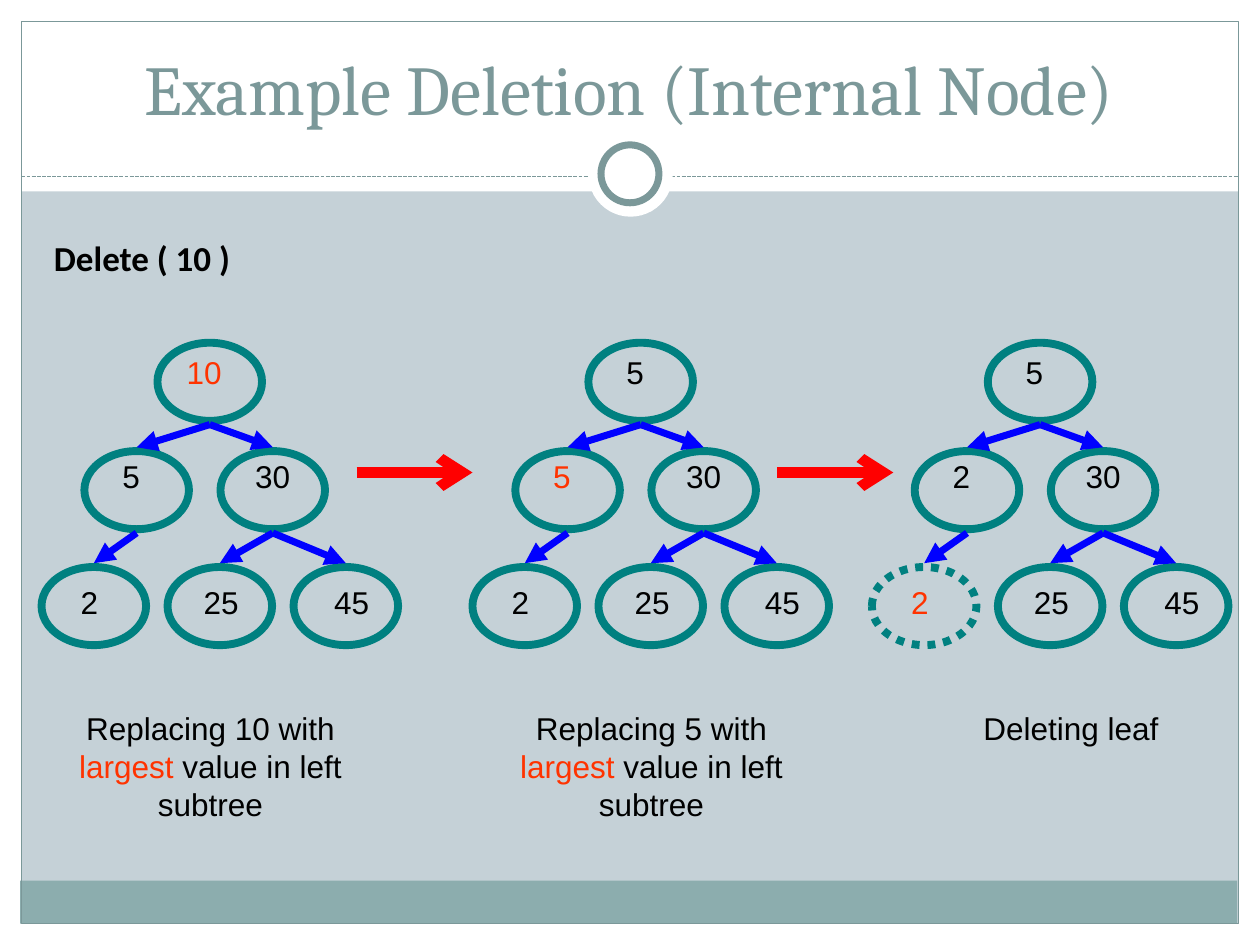
from dataclasses import dataclass

import pptx
import pptx.util
from pptx.dml.color import RGBColor
from pptx.enum.dml import MSO_LINE
from pptx.enum.shapes import MSO_CONNECTOR, MSO_SHAPE
from pptx.enum.text import MSO_ANCHOR, MSO_AUTO_SIZE, PP_ALIGN
from pptx.oxml.ns import qn
from pptx.util import Inches


@dataclass(frozen=True)
class Theme:
    background: str = "C5D1D7"
    paper: str = "FFFFFF"
    band: str = "8CADAE"
    frame: str = "7B9899"
    node: str = "008080"
    edge: str = "0000FF"
    step: str = "FF0000"
    text: str = "000000"
    accent: str = "FF3300"
    title_font: str = "Cambria"
    heading_font: str = "Calibri"
    body_font: str = "Arial"
    title_size: int = 40
    heading_size: int = 20
    body_size: int = 18


@dataclass(frozen=True)
class Node:
    """A node's place in its tree and its label's offset from the ellipse."""
    x: float
    y: float
    label_dx: float
    label_dy: float
    label_w: float


@dataclass(frozen=True)
class Tree:
    left: float
    values: tuple[str, ...]
    marked: int  # index of the highlighted value
    caption_left: float
    caption: tuple[tuple[str, str], ...]  # (text, colour) runs
    removed: int | None = None  # index of the dotted node


THEME = Theme()
NODE_W, NODE_H = 0.83, 0.62
GAP = 0.03  # between an edge's end and a node
NODES = (
    Node(0.92, 2.72, 0.08, 0.03, 0.58),
    Node(0.34, 3.58, 0.16, 0, 0.42),
    Node(1.42, 3.58, 0.08, 0, 0.67),
    Node(0, 4.5, 0.17, 0.08, 0.42),
    Node(1, 4.5, 0.09, 0.08, 0.67),
    Node(2, 4.5, 0.17, 0.08, 0.58),
)
EDGES = ((0, 1), (0, 2), (1, 3), (2, 4), (2, 5))


def replacing(value: str) -> tuple[tuple[str, str], ...]:
    return ((f"Replacing {value} with ", THEME.text), ("largest", THEME.accent),
            (" value in left subtree", THEME.text))


TREES = (
    Tree(0.33, ("10", "5", "30", "2", "25", "45"), 0, 0.42, replacing("10")),
    Tree(3.75, ("5", "5", "30", "2", "25", "45"), 1, 3.92, replacing("5")),
    Tree(6.92, ("5", "2", "30", "2", "25", "45"), 3, 7.25,
         (("Deleting leaf", THEME.text),), removed=3),
)


def rgb(color: str) -> RGBColor:
    return RGBColor.from_string(color)


def add_block(slide, kind, x: float, y: float, w: float, h: float,
              fill: str | None = None, line: str | None = None, width: float = 0.75):
    sp = slide.shapes.add_shape(kind, Inches(x), Inches(y), Inches(w), Inches(h))
    sp.shadow.inherit = False
    if fill:
        sp.fill.solid()
        sp.fill.fore_color.rgb = rgb(fill)
    else:
        sp.fill.background()
    if line:
        sp.line.color.rgb = rgb(line)
        sp.line.width = pptx.util.Pt(width)
    else:
        sp.line.fill.background()
    return sp


def add_line(slide, x1: float, y1: float, x2: float, y2: float, color: str,
             width: float, head: str | None = None):
    cxn = slide.shapes.add_connector(MSO_CONNECTOR.STRAIGHT, Inches(x1), Inches(y1),
                                     Inches(x2), Inches(y2))
    cxn.line.color.rgb = rgb(color)
    cxn.line.width = pptx.util.Pt(width)
    if head:
        ln = cxn.line._get_or_add_ln()
        ln.append(ln.makeelement(qn("a:tailEnd"), {"type": head}))
    sp_pr = cxn._element.spPr
    sp_pr.append(sp_pr.makeelement(qn("a:effectLst"), {}))
    return cxn


def add_text(slide, x: float, y: float, w: float, h: float,
             runs: tuple[tuple[str, str], ...], font: str = THEME.body_font,
             size: int = THEME.body_size, align=PP_ALIGN.CENTER):
    box = slide.shapes.add_textbox(Inches(x), Inches(y), Inches(w), Inches(h))
    tf = box.text_frame
    tf.word_wrap = True
    p = tf.paragraphs[0]
    p.alignment = align
    p.font.name = font
    p.font.size = pptx.util.Pt(size)
    for text, color in runs:
        r = p.add_run()
        r.text = text
        r.font.color.rgb = rgb(color)
    return p


def add_backdrop(slide) -> None:
    slide.background.fill.solid()
    slide.background.fill.fore_color.rgb = rgb(THEME.background)
    rect, oval = MSO_SHAPE.RECTANGLE, MSO_SHAPE.OVAL
    # White margins and header, then the footer band
    for margin in ((0, 7.33, 10, 0.17), (0, 0, 10, 1.52),
                   (0, 0, 0.17, 7.5), (9.83, 0, 0.17, 7.5)):
        add_block(slide, rect, *margin, fill=THEME.paper)
    add_block(slide, rect, 0.16, 6.99, 9.66, 0.34, fill=THEME.band)
    # Frame, dashed rule and ring
    add_block(slide, rect, 0.17, 0.17, 9.66, 7.16, line=THEME.frame)
    rule = add_line(slide, 0.17, 1.4, 9.83, 1.4, THEME.frame, 0.75)
    rule.line.dash_style = MSO_LINE.SQUARE_DOT
    add_block(slide, oval, 4.67, 1.05, 0.67, 0.67, fill=THEME.paper)
    add_block(slide, oval, 4.77, 1.15, 0.46, 0.46, THEME.paper, THEME.frame, 4)


def add_title(slide, text: str) -> None:
    title = slide.shapes.title
    title.left, title.top = Inches(0.33), Inches(0.25)
    title.width, title.height = Inches(9.33), Inches(0.83)
    tf = title.text_frame
    tf.text = text
    tf.auto_size = MSO_AUTO_SIZE.NONE
    tf.vertical_anchor = MSO_ANCHOR.BOTTOM
    p = tf.paragraphs[0]
    p.alignment = PP_ALIGN.CENTER
    p.font.name = THEME.title_font
    p.font.size = pptx.util.Pt(THEME.title_size)
    p.font.color.rgb = rgb(THEME.frame)
    # Bring the title in front of the white header
    slide.shapes._spTree.append(title._element)


def add_tree(slide, tree: Tree) -> None:
    for i, node in enumerate(NODES):
        sp = add_block(slide, MSO_SHAPE.OVAL, tree.left + node.x, node.y,
                       NODE_W, NODE_H, line=THEME.node, width=4.5)
        if i == tree.removed:
            sp.line.dash_style = MSO_LINE.ROUND_DOT
    for parent, child in EDGES:
        a, b = NODES[parent], NODES[child]
        middle = tree.left + NODE_W / 2
        add_line(slide, middle + a.x, a.y + NODE_H + GAP, middle + b.x, b.y - GAP,
                 THEME.edge, 4, "triangle")
    for i, (node, value) in enumerate(zip(NODES, tree.values)):
        color = THEME.accent if i == tree.marked else THEME.text
        add_text(slide, tree.left + node.x + node.label_dx, node.y + node.label_dy,
                 node.label_w, 0.4, ((value, color),))
    height = 1 if len(tree.caption) > 1 else 0.4
    add_text(slide, tree.caption_left, 5.58, 2.5, height, tree.caption)


def main() -> None:
    prs = pptx.Presentation()
    prs.slide_width, prs.slide_height = Inches(10), Inches(7.5)
    slide = prs.slides.add_slide(prs.slide_layouts.get_by_name("Title Only"))
    add_backdrop(slide)
    add_title(slide, "Example Deletion (Internal Node)")
    heading = add_text(slide, 0.33, 1.83, 9.3, 4.84, (("Delete ( 10 )", THEME.text),),
                       THEME.heading_font, THEME.heading_size, PP_ALIGN.LEFT)
    heading.font.bold = True
    for tree in TREES:
        add_tree(slide, tree)
    # Arrows from one step to the next
    for x in (2.83, 6.17):
        add_line(slide, x, 3.75, x + 0.92, 3.75, THEME.step, 6, "arrow")
    prs.save("out.pptx")


if __name__ == "__main__":
    main()
